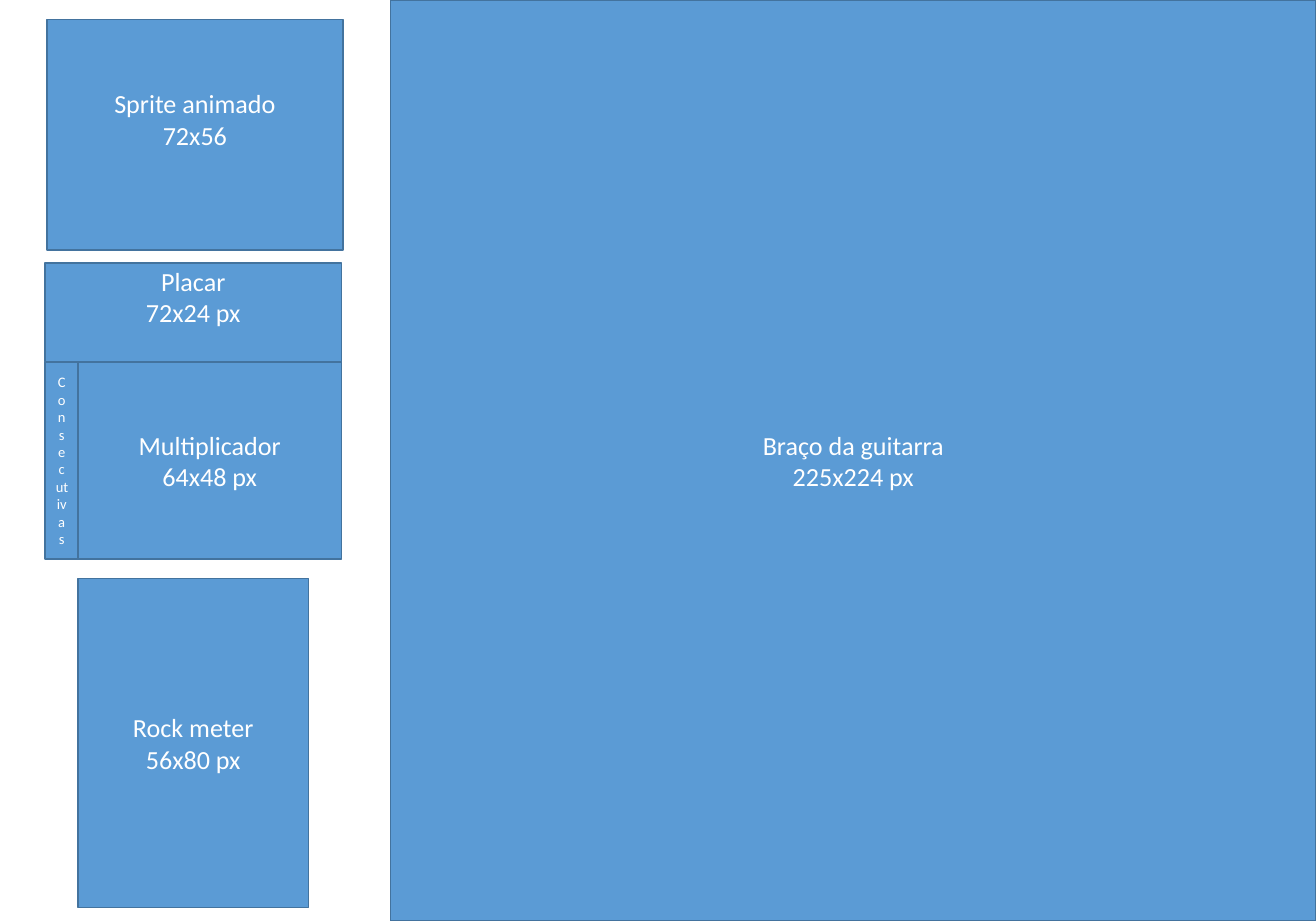
from dataclasses import dataclass

from pptx import Presentation
from pptx.dml.color import RGBColor
from pptx.enum.shapes import MSO_SHAPE
from pptx.enum.text import MSO_ANCHOR, PP_ALIGN
from pptx.util import Cm, Pt


@dataclass(frozen=True)
class Theme:
    fill: RGBColor = RGBColor(0x5B, 0x9B, 0xD5)
    outline: RGBColor = RGBColor(0x43, 0x73, 0x9E)
    text: RGBColor = RGBColor(0xFF, 0xFF, 0xFF)
    font: str = "Calibri"
    label_size: int = 18
    small_size: int = 10
    outline_width: int = 1


CM_PER_PIXEL = 0.1
RAISED = {"margin_top": Cm(0), "margin_bottom": Cm(0.77)}


def set_attributes(target, values):
    for name, value in values.items():
        setattr(target, name, value)


class LayoutSlide:
    def __init__(self, presentation, theme):
        self.theme = theme
        self.slide = presentation.slides.add_slide(presentation.slide_layouts[6])

    def group(self):
        return self.slide.shapes.add_group_shape()

    def panel(self, left, top, pixels, lines, size=None, frame=None, parent=None):
        theme = self.theme
        width, height = (Cm(pixel * CM_PER_PIXEL) for pixel in pixels)
        shapes = (parent or self.slide).shapes
        shape = shapes.add_shape(MSO_SHAPE.RECTANGLE, Cm(left), Cm(top), width, height)
        shape.shadow.inherit = False
        shape.fill.solid()
        shape.fill.fore_color.rgb = theme.fill
        shape.line.color.rgb = theme.outline
        shape.line.width = Pt(theme.outline_width)
        text_frame = shape.text_frame
        text_frame.text = "\n".join(lines)
        frame_format = {"word_wrap": True, "vertical_anchor": MSO_ANCHOR.MIDDLE}
        set_attributes(text_frame, frame_format | (frame or {}))
        font_format = {"name": theme.font, "size": Pt(size or theme.label_size)}
        for paragraph in text_frame.paragraphs:
            paragraph.alignment = PP_ALIGN.CENTER
            for run in paragraph.runs:
                set_attributes(run.font, font_format)
                run.font.color.rgb = theme.text


def main():
    theme = Theme()
    presentation = Presentation()
    set_attributes(presentation, {"slide_width": Cm(32), "slide_height": Cm(22.4)})
    screen = LayoutSlide(presentation, theme)

    screen.panel(9.5, 0, (225, 224), ["Braço da guitarra", "225x224 px"])

    score = screen.group()
    screen.panel(1.9, 8.8, (64, 48), ["Multiplicador", "64x48 px"], parent=score)
    screen.panel(1.1, 6.4, (72, 24), ["Placar", "72x24 px"], frame=RAISED, parent=score)
    screen.panel(1.1, 8.8, (8, 48), ["Consecutivas"], theme.small_size, parent=score)

    screen.panel(1.9, 14.07, (56, 80), ["Rock meter", "56x80 px"])
    screen.panel(1.14, 0.48, (72, 56), ["Sprite animado", "72x56"], frame=RAISED)

    presentation.save("out.pptx")


if __name__ == "__main__":
    main()
